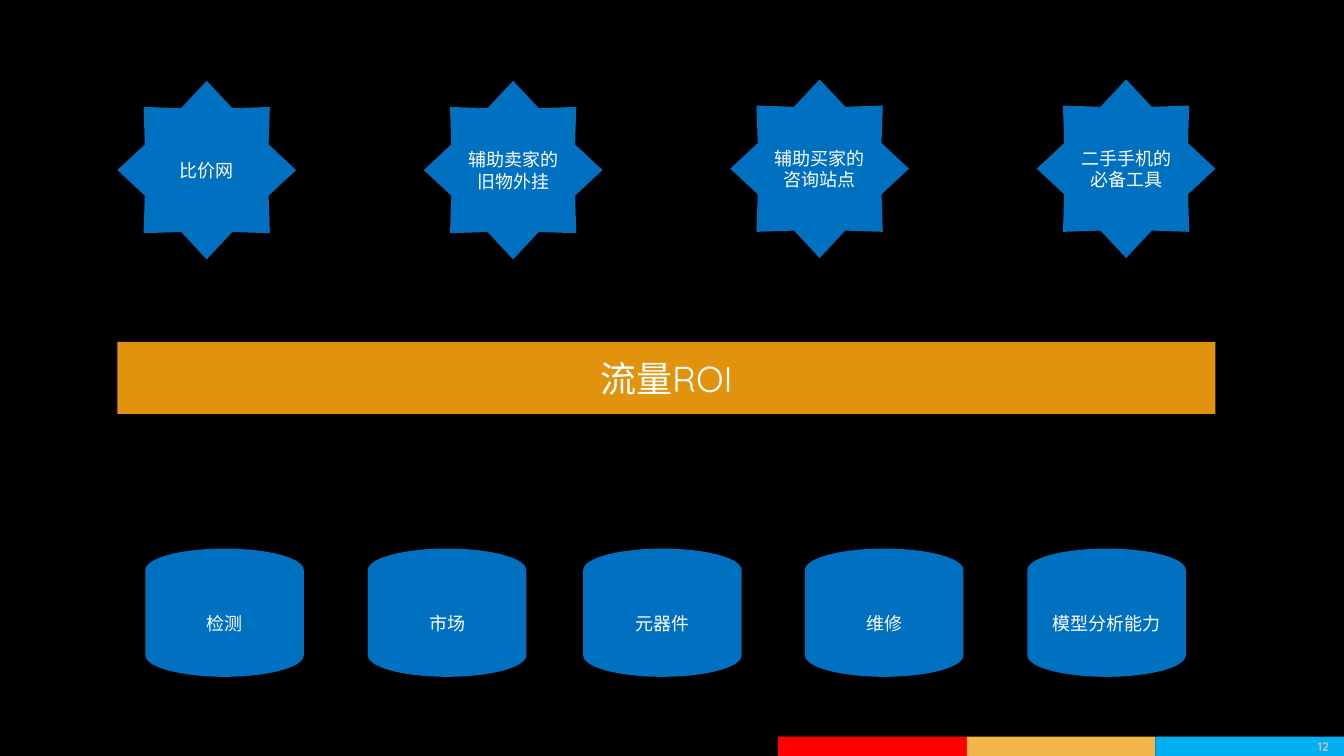
from pptx import Presentation
from pptx.dml.color import RGBColor
from pptx.enum.shapes import MSO_SHAPE
from pptx.enum.text import MSO_ANCHOR, PP_ALIGN
from pptx.oxml.ns import qn
from pptx.util import Pt

RECT = MSO_SHAPE.RECTANGLE
STAR = MSO_SHAPE.STAR_8_POINT
DISK = MSO_SHAPE.FLOWCHART_MAGNETIC_DISK
MIDDLE = MSO_ANCHOR.MIDDLE
CENTER, RIGHT = PP_ALIGN.CENTER, PP_ALIGN.RIGHT

BLACK = RGBColor(0, 0, 0)
WHITE = RGBColor(255, 255, 255)
GREY = RGBColor(0xBF, 0xBF, 0xBF)
BLUE = RGBColor(0x00, 0x70, 0xC0)
ORANGE = RGBColor(0xE1, 0x93, 0x0E)
RED = RGBColor(0xFF, 0, 0)
AMBER = RGBColor(0xF4, 0xB5, 0x4B)
SKY = RGBColor(0x00, 0xB0, 0xF0)
FONT = "Quicksand"

STARS = [
    (0, ["比价网"]),
    (0, ["辅助卖家的", "旧物外挂"]),
    (-1.4, ["辅助买家的", "咨询站点"]),
    (-1.4, ["二手手机的", "必备工具"]),
]
DISKS = [
    (0, "检测"),
    (222.5, "市场"),
    (437.8, "元器件"),
    (659.6, "维修"),
    (882, "模型分析能力"),
]


def write(shape, lines, size, color=WHITE, align=CENTER, bold=False):
    frame = shape.text_frame
    frame.word_wrap = True
    frame.vertical_anchor = MIDDLE
    frame.margin_top = frame.margin_bottom = 0
    for i, line in enumerate(lines):
        para = frame.add_paragraph() if i else frame.paragraphs[0]
        para.alignment = align
        run = para.add_run()
        run.text = line
        font = run.font
        font.name, font.size, font.bold = FONT, Pt(size), bold
        font.color.rgb = color
        # East Asian glyphs take the line height of the same font.
        face = font._element.makeelement(qn("a:ea"), {"typeface": FONT})
        font._element.find(qn("a:latin")).addnext(face)


def add_block(slide, kind, box, color):
    shape = slide.shapes.add_shape(kind, *map(Pt, box))
    shape.shadow.inherit = False
    shape.fill.solid()
    shape.fill.fore_color.rgb = color
    shape.line.fill.background()
    return shape


def add_stars(slide, left, top, width, size):
    step = (width - size) / (len(STARS) - 1)
    for i, (shift, lines) in enumerate(STARS):
        box = (left + i * step, top + shift, size, size)
        write(add_block(slide, STAR, box, BLUE), lines, 18)


def add_banner(slide, *box):
    write(add_block(slide, RECT, box, ORANGE), ["流量ROI"], 36)


def add_disks(slide, left, top, width, height):
    """Place disks of the given size, the first at left and top."""
    for shift, label in DISKS:
        box = (left + shift, top, width, height)
        write(add_block(slide, DISK, box, BLUE), [label], 18)


def add_footer(slide, left, top, width, height):
    part = width / 3
    for i, color in enumerate((RED, AMBER, SKY)):
        add_block(slide, RECT, (left + i * part, top, part, height), color)
    box = (left + width - 68.4, top, 60.5, height)
    number = slide.shapes.add_textbox(*map(Pt, box))
    write(number, ["12"], 12.6, GREY, RIGHT, True)


def main():
    deck = Presentation()
    deck.slide_width, deck.slide_height = Pt(1344), Pt(756)
    slide = deck.slides.add_slide(deck.slide_layouts[6])
    slide.background.fill.solid()
    slide.background.fill.fore_color.rgb = BLACK
    add_footer(slide, 778.2, 736.6, 565.8, 19.4)
    add_banner(slide, 117.4, 342, 1098, 72)
    add_stars(slide, 117.4, 80.8, 1098, 178.6)
    add_disks(slide, 145.4, 548.6, 158.4, 128.2)
    deck.save("out.pptx")


if __name__ == "__main__":
    main()
